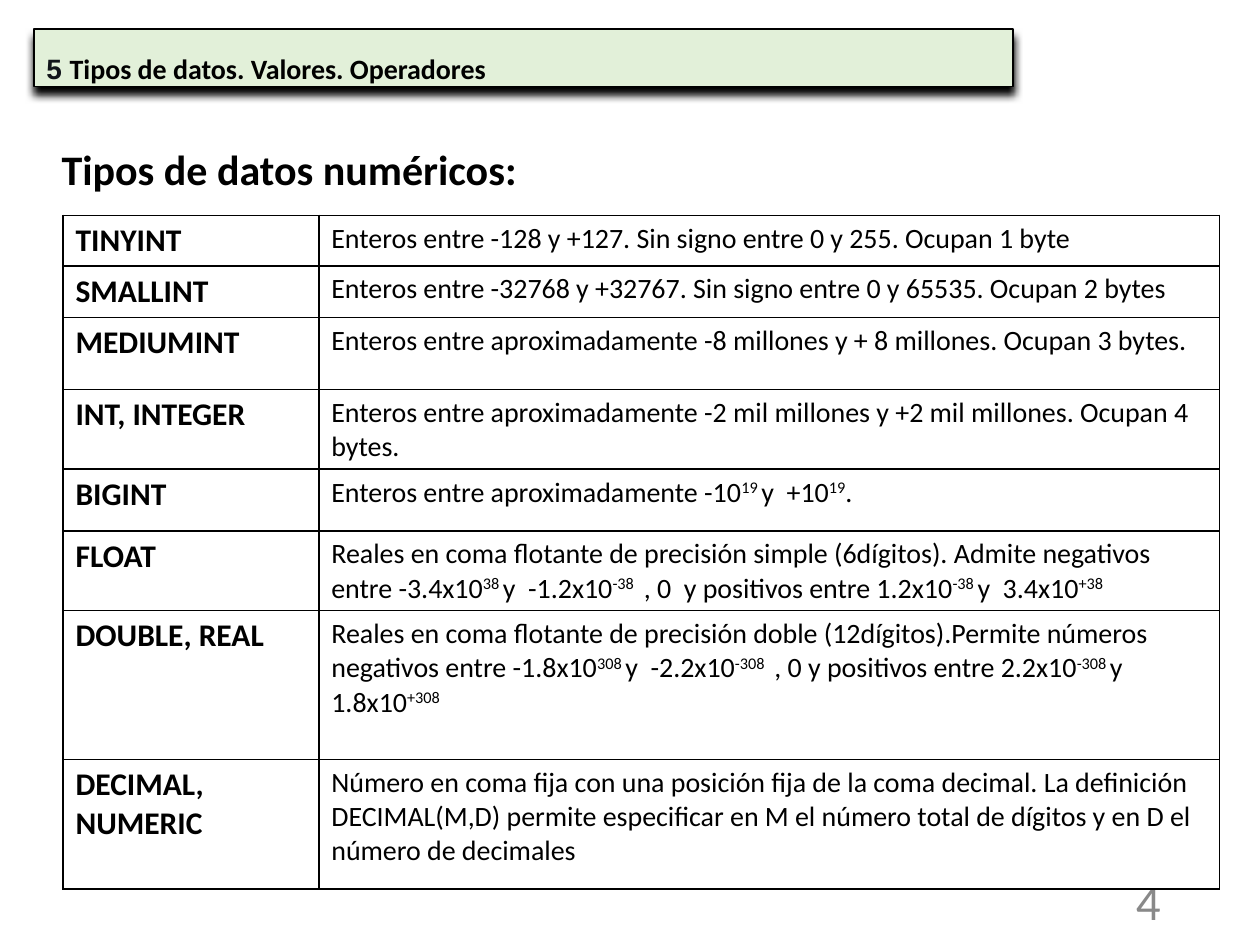
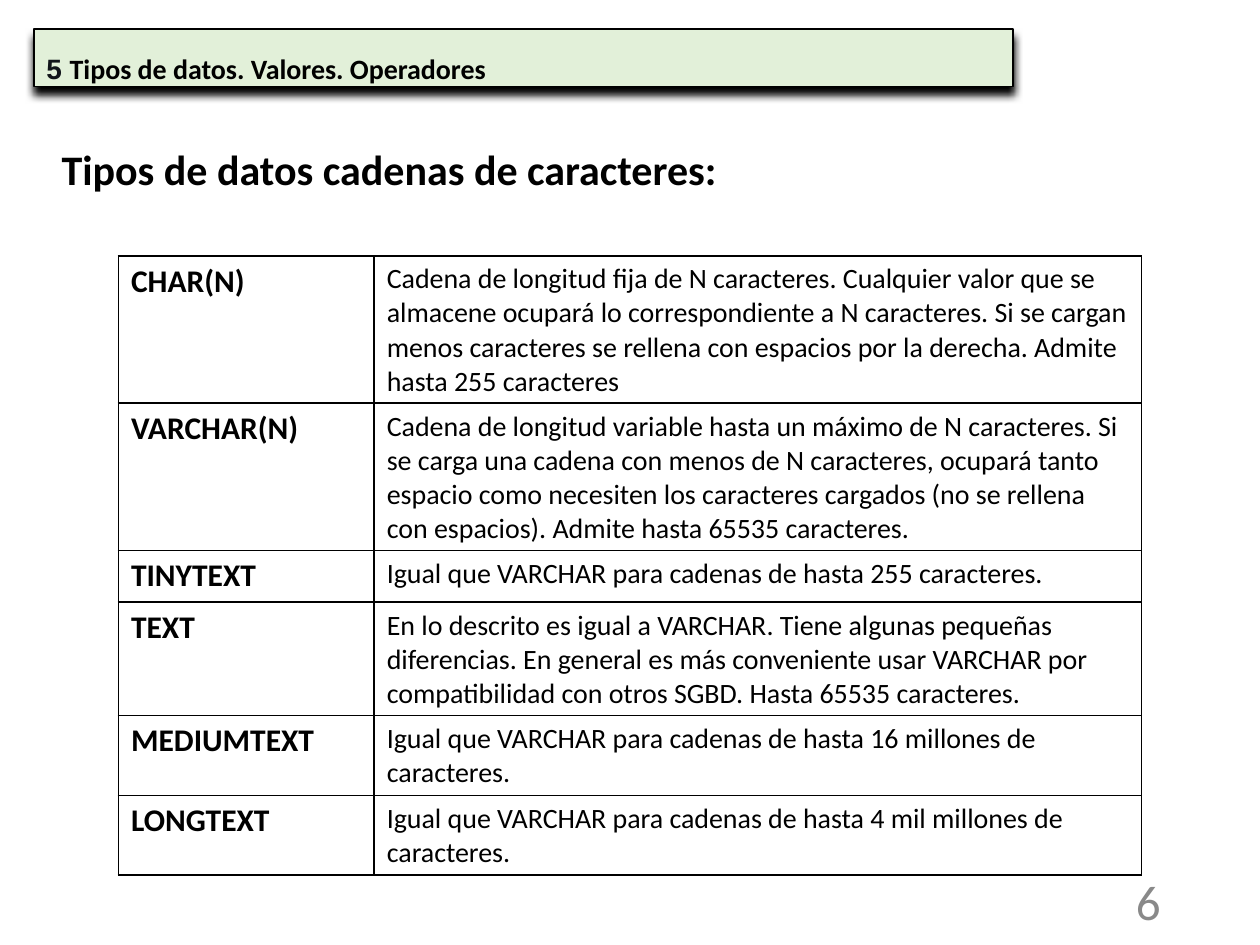
from lxml.etree import SubElement
from pptx import Presentation
from pptx.dml.color import RGBColor
from pptx.enum.shapes import MSO_SHAPE
from pptx.enum.text import MSO_ANCHOR, PP_ALIGN
from pptx.oxml import parse_xml
from pptx.oxml.ns import nsdecls, qn
from pptx.util import Inches, Pt

# Slide grid: 100 columns by 75 rows
WIDTH, HEIGHT = Inches(10), Inches(7.5)
COLUMN, ROW = WIDTH / 100, HEIGHT / 75

BLACK = RGBColor(0x00, 0x00, 0x00)
INK = RGBColor(0x11, 0x15, 0x1A)
GREY = RGBColor(0x89, 0x89, 0x89)
PALE_GREEN = RGBColor(0xE2, 0xF0, 0xD9)

# Boxes as left, top, width, height in columns and rows
BAND_BOX = (2.7, 2.3, 77.7, 4.6)
HEADING_BOX = (3.9, 7.9, 93, 15.5)
NUMBER_BOX = (70.6, 69.5, 22.5, 4)
NAME_COLUMN = 20.3

# In descriptions, every second part between bars is superscript
NUMERIC_TYPES = [
    ("TINYINT", 4, "Enteros entre -128 y +127. Sin signo entre 0 y 255. Ocupan 1 byte"),
    ("SMALLINT", 4.1, "Enteros entre -32768 y +32767. Sin signo entre 0 y 65535. Ocupan 2 bytes"),
    ("MEDIUMINT", 5.7, "Enteros entre aproximadamente -8 millones y + 8 millones. Ocupan 3 bytes."),
    ("INT, INTEGER", 5.7, "Enteros entre aproximadamente -2 mil millones y +2 mil millones. "
     "Ocupan 4 bytes."),
    ("BIGINT", 4.9, "Enteros entre aproximadamente -10|19 |y  +10|19|."),
    ("FLOAT", 5.7, "Reales en coma flotante de precisión simple (6dígitos). Admite negativos "
     "entre -3.4x10|38 |y  -1.2x10|-38 | , 0  y positivos entre 1.2x10|-38 |y  3.4x10|+38"),
    ("DOUBLE, REAL", 11.8, "Reales en coma flotante de precisión doble (12dígitos).Permite números "
     "negativos entre -1.8x10|308 |y  -2.2x10|-308 | , 0 y positivos entre "
     "2.2x10|-308 |y  1.8x10|+308"),
    ("DECIMAL, NUMERIC", 10.3, "Número en coma fija con una posición fija de la coma decimal. "
     "La definición DECIMAL(M,D) permite especificar en M el número total de dígitos "
     "y en D el número de decimales"),
]
STRING_TYPES = [
    ("CHAR(N)", 11.7, "Cadena de longitud fija de N caracteres. Cualquier valor que se almacene "
     "ocupará lo correspondiente a N caracteres. Si se cargan menos caracteres se rellena "
     "con espacios por la derecha. Admite hasta 255 caracteres"),
    ("VARCHAR(N)", 11.7, "Cadena de longitud variable hasta un máximo de N caracteres. Si se carga "
     "una cadena con menos de N caracteres, ocupará tanto espacio como necesiten los caracteres "
     "cargados (no se rellena con espacios). Admite hasta 65535 caracteres."),
    ("TINYTEXT", 4.1, "Igual que VARCHAR para cadenas de hasta 255 caracteres."),
    ("TEXT", 9, "En lo descrito es igual a VARCHAR. Tiene algunas pequeñas diferencias. En general "
     "es más conveniente usar VARCHAR por compatibilidad con otros SGBD. "
     "Hasta 65535 caracteres."),
    ("MEDIUMTEXT", 6.3, "Igual que VARCHAR para cadenas de hasta 16 millones de caracteres."),
    ("LONGTEXT", 6.3, "Igual que VARCHAR para cadenas de hasta 4 mil millones de caracteres."),
]


def across(columns):
    return round(columns * COLUMN)


def down(rows):
    return round(rows * ROW)


def place(box):
    left, top, width, height = box
    return across(left), down(top), across(width), down(height)


def add_span(para, text, size, bold=False, color=BLACK, font="Calibri"):
    span = para.add_run()
    span.text = text
    span.font.name = font
    span.font.size = Pt(size)
    span.font.bold = bold
    span.font.color.rgb = color
    return span


def add_band(page, box):
    band = page.shapes.add_shape(MSO_SHAPE.RECTANGLE, *place(box))
    band.fill.solid()
    band.fill.fore_color.rgb = PALE_GREEN
    band.line.color.rgb = BLACK
    band.line.width = Pt(0.75)
    # Solid black shadow falling straight down
    band.shadow.inherit = False
    effects = band._element.spPr.find(qn("a:effectLst"))
    shadow = SubElement(effects, qn("a:outerShdw"), blurRad=str(Pt(5)), dist=str(Pt(4)),
                        dir="5400000", algn="ctr", rotWithShape="0")
    SubElement(shadow, qn("a:srgbClr"), val=str(BLACK))
    # Section title with a hanging indent
    frame = band.text_frame
    frame.word_wrap = True
    frame.vertical_anchor = MSO_ANCHOR.TOP
    para = frame.paragraphs[0]
    para.alignment = PP_ALIGN.LEFT
    para.line_spacing = 1.5
    indent = across(5)
    properties = para._p.get_or_add_pPr()
    properties.set("marL", str(indent))
    properties.set("indent", str(-indent))
    add_span(para, "5 ", 16, True, INK, "Arial")
    add_span(para, "Tipos de datos. Valores. Operadores", 16, True)


def add_heading(page, box, text):
    frame = page.shapes.add_textbox(*place(box)).text_frame
    frame.word_wrap = True
    frame.margin_top = down(3.5)
    add_span(frame.paragraphs[0], text, 24, True)


def add_number(page, box, number):
    frame = page.shapes.add_textbox(*place(box)).text_frame
    frame.word_wrap = True
    frame.vertical_anchor = MSO_ANCHOR.MIDDLE
    para = frame.paragraphs[0]
    para.alignment = PP_ALIGN.RIGHT
    add_span(para, str(number), 28, color=GREY)


def style_cell(cell):
    cell.fill.background()
    properties = cell._tc.get_or_add_tcPr()
    for position, side in enumerate(("lnL", "lnR", "lnT", "lnB")):
        properties.insert(position, parse_xml(
            f'<a:{side} {nsdecls("a")} w="{Pt(1)}"><a:solidFill>'
            f'<a:srgbClr val="{BLACK}"/></a:solidFill></a:{side}>'))


def add_type_table(page, left, top, width, types):
    height = sum(rows for _, rows, _ in types)
    box = (left, top, width, height)
    table = page.shapes.add_table(len(types), 2, *place(box)).table
    table.first_row = table.horz_banding = False
    table.columns[0].width = across(NAME_COLUMN)
    table.columns[1].width = across(width - NAME_COLUMN)
    for index, (name, rows, description) in enumerate(types):
        table.rows[index].height = down(rows)
        name_cell, text_cell = table.cell(index, 0), table.cell(index, 1)
        style_cell(name_cell)
        style_cell(text_cell)
        add_span(name_cell.text_frame.paragraphs[0], name, 18, True)
        para = text_cell.text_frame.paragraphs[0]
        for part, text in enumerate(description.split("|")):
            span = add_span(para, text, 16)
            if part % 2:
                span.font._element.set("baseline", "30000")


def add_type_page(deck, number, heading, left, top, width, types):
    page = deck.slides.add_slide(deck.slide_layouts[6])
    add_band(page, BAND_BOX)
    add_number(page, NUMBER_BOX, number)
    add_heading(page, HEADING_BOX, heading)
    add_type_table(page, left, top, width, types)


def main():
    deck = Presentation()
    deck.slide_width, deck.slide_height = WIDTH, HEIGHT
    add_type_page(deck, 4, "Tipos de datos numéricos:", 5, 17.1, 91.8, NUMERIC_TYPES)
    add_type_page(deck, 6, "Tipos de datos cadenas de caracteres:", 9.4, 20.3, 81.2, STRING_TYPES)
    deck.save("out.pptx")


if __name__ == "__main__":
    main()
